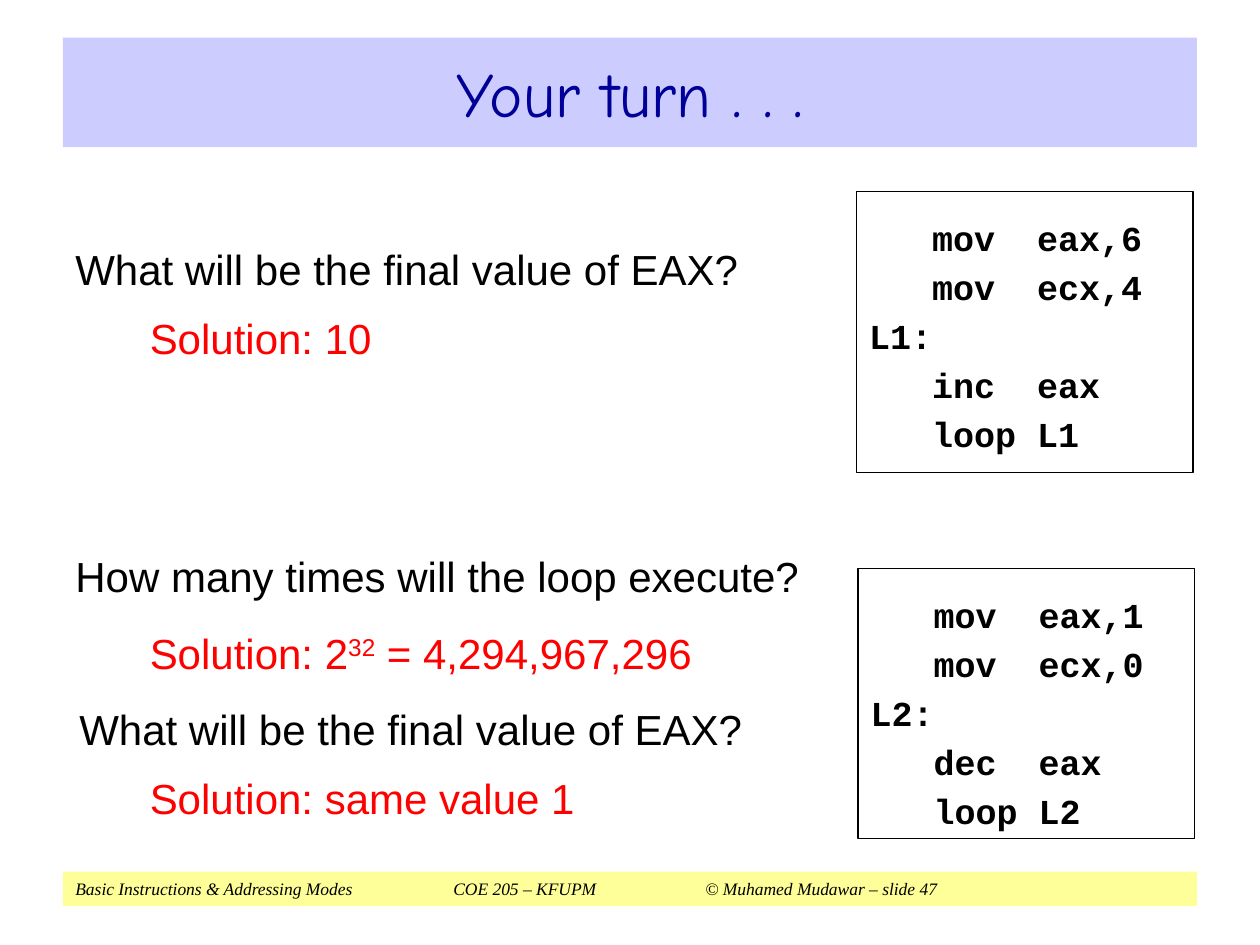
from pptx import Presentation
from pptx.dml.color import RGBColor
from pptx.enum.shapes import MSO_SHAPE
from pptx.enum.text import MSO_ANCHOR, PP_ALIGN
from pptx.oxml import parse_xml
from pptx.oxml.ns import nsdecls
from pptx.util import Cm, Pt


def color(value):
    return RGBColor.from_string(value)


class SlideBuilder:
    TITLE = {"name": "Comic Neue", "size": Pt(36), "color": "000099"}
    FOOTER = {"name": "Times New Roman", "size": Pt(10), "italic": True, "color": "000000"}
    QUESTION = {"name": "Arial", "size": Pt(24), "color": "000000"}
    SOLUTION = {**QUESTION, "color": "FF0000"}
    CODE = {"name": "Courier New", "size": Pt(20), "bold": True, "color": "000000"}

    def __init__(self, slide):
        self.s = slide

    def frame(self, sp, inset_y, anchor=MSO_ANCHOR.TOP, wrap=True):
        tf = sp.text_frame
        settings = {"margin_left": Cm(0.25), "margin_right": Cm(0.25),
                    "margin_top": Cm(inset_y), "margin_bottom": Cm(inset_y),
                    "vertical_anchor": anchor, "word_wrap": wrap}
        for key, value in settings.items():
            setattr(tf, key, value)
        return tf

    def run(self, p, text, style, raised=False):
        r = p.add_run()
        r.text = text
        for key, value in style.items():
            if key == "color":
                r.font.color.rgb = color(value)
            else:
                setattr(r.font, key, value)
        if raised:
            r._r.get_or_add_rPr().set("baseline", "30000")

    def tabs(self, p, stops):
        tags = "".join(f'<a:tab pos="{Cm(x)}" algn="l"/>' for x in stops)
        p._p.get_or_add_pPr().append(
            parse_xml(f'<a:tabLst {nsdecls("a")}>{tags}</a:tabLst>'))

    def rect(self, x, y, w, h, fill=None, line=None):
        sp = self.s.shapes.add_shape(MSO_SHAPE.RECTANGLE, Cm(x), Cm(y), Cm(w), Cm(h))
        sp.shadow.inherit = False
        if fill:
            sp.fill.solid()
            sp.fill.fore_color.rgb = color(fill)
        else:
            sp.fill.background()
        if line:
            sp.line.color.rgb = color(line)
            sp.line.width = Pt(0.75)
        else:
            sp.line.fill.background()
        return sp

    def bar(self, y, h, fill, text, style, align, anchor, stops=()):
        sp = self.rect(1.27, y, 22.86, h, fill=fill)
        p = self.frame(sp, 0.13, anchor).paragraphs[0]
        p.alignment = align
        if stops:
            self.tabs(p, stops)
        self.run(p, text, style)

    def text(self, x, y, w, parts, style):
        sp = self.s.shapes.add_textbox(Cm(x), Cm(y), Cm(w), Cm(1.78))
        p = self.frame(sp, 0.46).paragraphs[0]
        for i, part in enumerate(parts):
            # Every second part is an exponent
            self.run(p, part, style, raised=i % 2 == 1)

    def code(self, x, y, h, lines):
        sp = self.rect(x, y, 6.78, h, line="000000")
        tf = self.frame(sp, 0.51, wrap=False)
        for i, line in enumerate(lines):
            p = tf.add_paragraph() if i else tf.paragraphs[0]
            p.alignment = PP_ALIGN.LEFT
            if i:
                p.space_before = Pt(3.9)
            self.tabs(p, [1.27])
            self.run(p, line, self.CODE)


def main():
    prs = Presentation()
    prs.slide_width, prs.slide_height = Cm(25.4), Cm(19.05)
    b = SlideBuilder(prs.slides.add_slide(prs.slide_layouts[6]))

    # Footer and title bars
    b.bar(17.57, 0.7, "FFFF99",
          "Basic Instructions & Addressing Modes\tCOE 205 – KFUPM\t"
          "© Muhamed Mudawar – slide 47",
          b.FOOTER, PP_ALIGN.LEFT, MSO_ANCHOR.TOP, stops=(7.62, 12.7))
    b.bar(0.76, 2.21, "CCCCFF", "Your turn . . .", b.TITLE,
          PP_ALIGN.CENTER, MSO_ANCHOR.MIDDLE)

    # Code listings
    b.code(17.27, 3.86, 5.66,
           ["\tmov  eax,6", "\tmov  ecx,4", "L1:", "\tinc  eax", "\tloop L1"])
    b.code(17.3, 11.46, 5.44,
           ["\tmov  eax,1", "\tmov  ecx,0", "L2:", "\tdec  eax", "\tloop L2"])

    # Questions and solutions
    final_value = ["What will be the final value of EAX?"]
    b.text(1.27, 4.45, 14.63, final_value, b.QUESTION)
    b.text(2.77, 5.84, 7.09, ["Solution: 10"], b.SOLUTION)
    b.text(1.27, 10.64, 15.27, ["How many times will the loop execute?"], b.QUESTION)
    b.text(2.77, 12.19, 12.47, ["Solution: 2", "32", " = 4,294,967,296"], b.SOLUTION)
    b.text(1.35, 13.72, 14.63, final_value, b.QUESTION)
    b.text(2.77, 15.11, 11.05, ["Solution: same value 1"], b.SOLUTION)

    prs.save("out.pptx")


if __name__ == "__main__":
    main()
